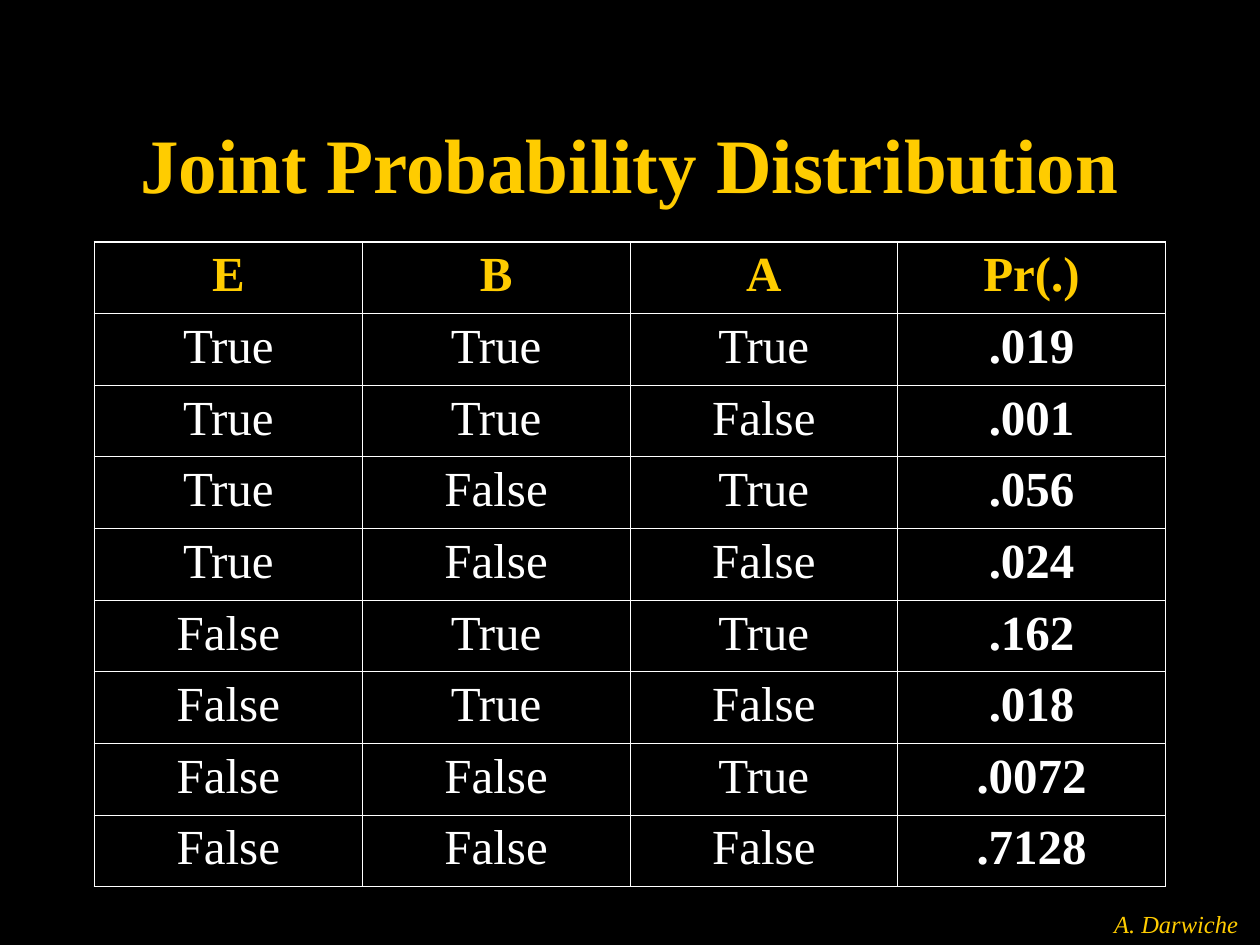
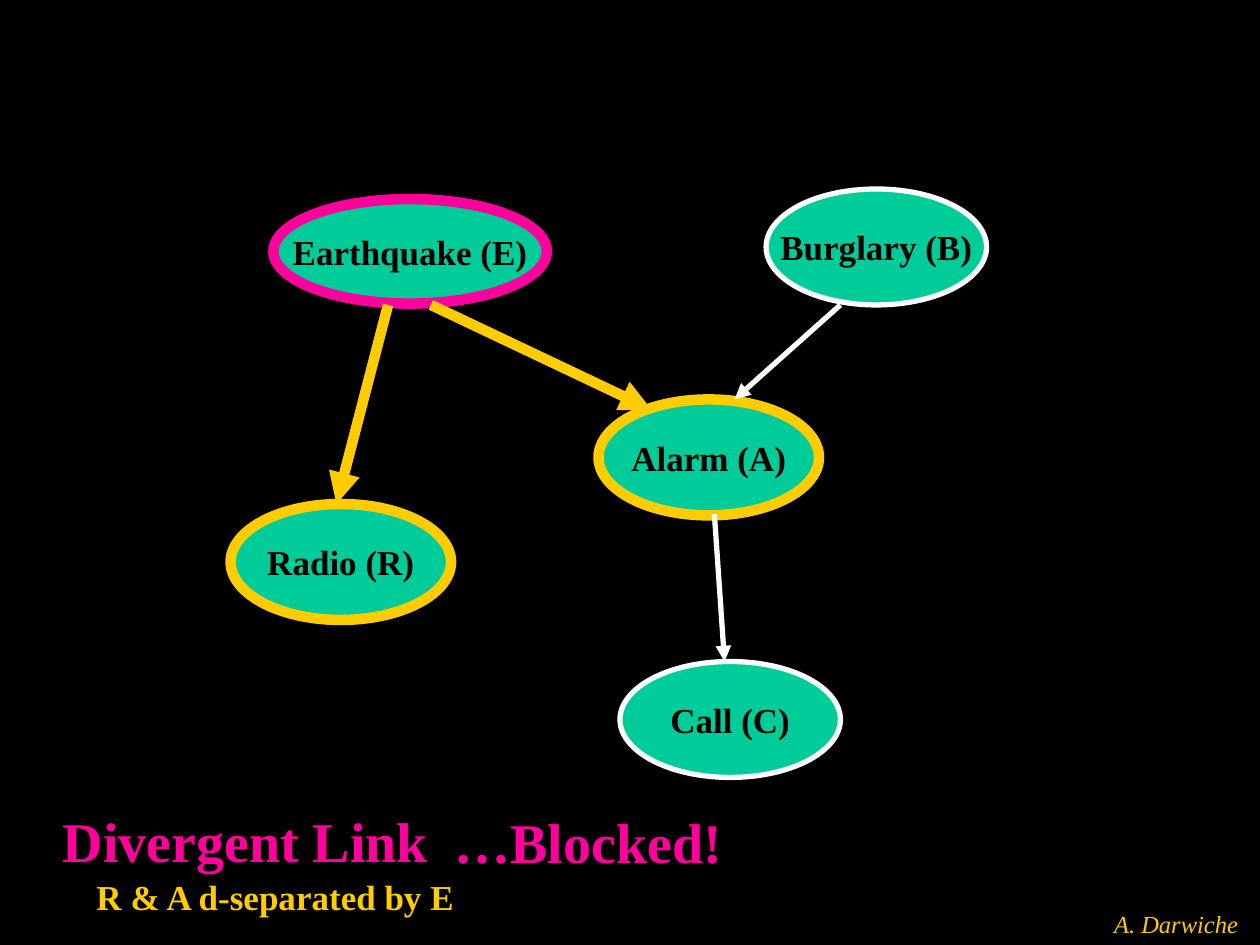
from lxml import etree
from pptx import Presentation
from pptx.dml.color import RGBColor
from pptx.enum.shapes import MSO_CONNECTOR, MSO_SHAPE
from pptx.enum.text import MSO_ANCHOR, MSO_AUTO_SIZE, PP_ALIGN
from pptx.oxml.ns import qn
from pptx.util import Inches, Pt

CENTER = PP_ALIGN.CENTER
TOP, MIDDLE = MSO_ANCHOR.TOP, MSO_ANCHOR.MIDDLE
FIXED, GROW = MSO_AUTO_SIZE.NONE, MSO_AUTO_SIZE.SHAPE_TO_FIT_TEXT
OVAL, STRAIGHT = MSO_SHAPE.OVAL, MSO_CONNECTOR.STRAIGHT
FONT = "Times New Roman"
COLORS = {
    "black": "000000",
    "white": "FFFFFF",
    "gold": "FFCC00",
    "pink": "FF009D",
    "green": "00CC99",
}
INNER, OUTER = 0.45, 1.08

HEADERS = ["E", "B", "A", "Pr(.)"]
PROBABILITIES = [".019", ".001", ".056", ".024", ".162", ".018", ".0072", ".7128"]
NODES = [
    ("Earthquake (E)", 2.17, 1.58, 2.17, 0.83, "pink", 6),
    ("Burglary (B)", 6.08, 1.5, 1.75, 0.92, "white", 3),
    ("Alarm (A)", 4.75, 3.17, 1.75, 0.92, "gold", 6),
    ("Call (C)", 4.92, 5.25, 1.75, 0.92, "white", 3),
    ("Radio (R)", 1.83, 4, 1.75, 0.92, "gold", 6),
]
EDGES = [
    (3.08, 2.42, 2.67, 4, "gold", 6),
    (3.42, 2.42, 5.17, 3.25, "gold", 6),
    (6.67, 2.42, 5.83, 3.17, "white", 3),
    (5.67, 4.08, 5.75, 5.25, "white", 3),
]


def rgb(name):
    return RGBColor.from_string(COLORS[name])


def write(tf, text, size, color, bold=True, italic=False, anchor=MIDDLE, wrap=False):
    tf.word_wrap = wrap
    tf.vertical_anchor = anchor
    p = tf.paragraphs[0]
    p.alignment = CENTER
    r = p.add_run()
    r.text = text
    r.font.name = FONT
    r.font.size = Pt(size)
    r.font.bold = bold
    r.font.italic = italic
    r.font.color.rgb = rgb(color)


def add_text(slide, box, text, size, color, fit=FIXED, **fmt):
    sp = slide.shapes.add_textbox(*map(Inches, box))
    sp.text_frame.auto_size = fit
    write(sp.text_frame, text, size, color, **fmt)


def new_slide(prs, layout):
    slide = prs.slides.add_slide(prs.slide_layouts[layout])
    add_text(slide, (7.75, 7.08, 3.17, 0.5), "A. Darwiche", 14, "gold",
             bold=False, italic=True)
    return slide


def set_title(slide, box, text):
    sp = slide.shapes.title
    sp.left, sp.top, sp.width, sp.height = map(Inches, box)
    write(sp.text_frame, text, 44, "gold", wrap=True)


def set_borders(cell, widths):
    tc_pr = cell._tc.get_or_add_tcPr()
    for i, (side, width) in enumerate(widths.items()):
        ln = etree.Element(qn(f"a:ln{side}"), w=str(Pt(width)))
        fill = etree.SubElement(ln, qn("a:solidFill"))
        etree.SubElement(fill, qn("a:srgbClr"), val=COLORS["white"])
        tc_pr.insert(i, ln)


def add_distribution(slide, box):
    truth = ["True", "False"]
    worlds = [[e, b, a] for e in truth for b in truth for a in truth]
    rows = [HEADERS] + [w + [pr] for w, pr in zip(worlds, PROBABILITIES)]
    last_row, last_col = len(rows) - 1, len(HEADERS) - 1
    table = slide.shapes.add_table(len(rows), len(HEADERS), *map(Inches, box)).table
    table.first_row = table.horz_banding = False
    for i, row in enumerate(rows):
        for j, text in enumerate(row):
            cell = table.cell(i, j)
            cell.fill.solid()
            cell.fill.fore_color.rgb = rgb("black")
            cell.vertical_anchor = TOP
            write(cell.text_frame, text, 28, "white" if i else "gold",
                  bold=i == 0 or j == last_col, anchor=TOP, wrap=True)
            set_borders(cell, {
                "L": INNER if j else OUTER,
                "R": INNER if j < last_col else OUTER,
                "T": INNER if i else OUTER,
                "B": INNER if i < last_row else OUTER,
            })


def add_node(slide, x, y, text, left, top, width, height, color, weight):
    sp = slide.shapes.add_shape(OVAL, Inches(x + left), Inches(y + top),
                                Inches(width), Inches(height))
    sp.shadow.inherit = False
    sp.fill.solid()
    sp.fill.fore_color.rgb = rgb("green")
    sp.line.color.rgb = rgb(color)
    sp.line.width = Pt(weight)
    write(sp.text_frame, text, 20, "black")


def add_arrow(slide, x, y, x1, y1, x2, y2, color, weight):
    line = slide.shapes.add_connector(STRAIGHT, Inches(x + x1), Inches(y + y1),
                                      Inches(x + x2), Inches(y + y2))
    line.line.color.rgb = rgb(color)
    line.line.width = Pt(weight)
    etree.SubElement(line.line._get_or_add_ln(), qn("a:tailEnd"), type="triangle")
    etree.SubElement(line._element.spPr, qn("a:effectLst"))


def add_network(slide, x, y):
    for node in NODES:
        add_node(slide, x, y, *node)
    for edge in EDGES:
        add_arrow(slide, x, y, *edge)


def add_verdict(slide, x, y):
    captions = [
        ("Divergent Link", 0, 0, 3.2, 0.64, 32, "pink"),
        ("R & A d-separated by E", 0.25, 0.55, 3.17, 0.44, 20, "gold"),
        ("…Blocked!", 3.11, 0.01, 2.42, 0.64, 32, "pink"),
    ]
    for text, left, top, width, height, size, color in captions:
        add_text(slide, (x + left, y + top, width, height), text, size, color,
                 fit=GROW, anchor=TOP)


def distribution_slide(prs):
    slide = new_slide(prs, 5)
    set_title(slide, (0.75, 0.67, 8.5, 1.25), "Joint Probability Distribution")
    add_distribution(slide, (0.75, 1.92, 8.5, 5.12))


def divergent_link_slide(prs):
    slide = new_slide(prs, 6)
    add_network(slide, 0, 0)
    add_verdict(slide, 0.35, 6.35)


def main():
    prs = Presentation()
    prs.slide_width, prs.slide_height = Inches(10), Inches(7.5)
    background = prs.slide_master.background.fill
    background.solid()
    background.fore_color.rgb = rgb("black")
    distribution_slide(prs)
    divergent_link_slide(prs)
    prs.save("out.pptx")


if __name__ == "__main__":
    main()
